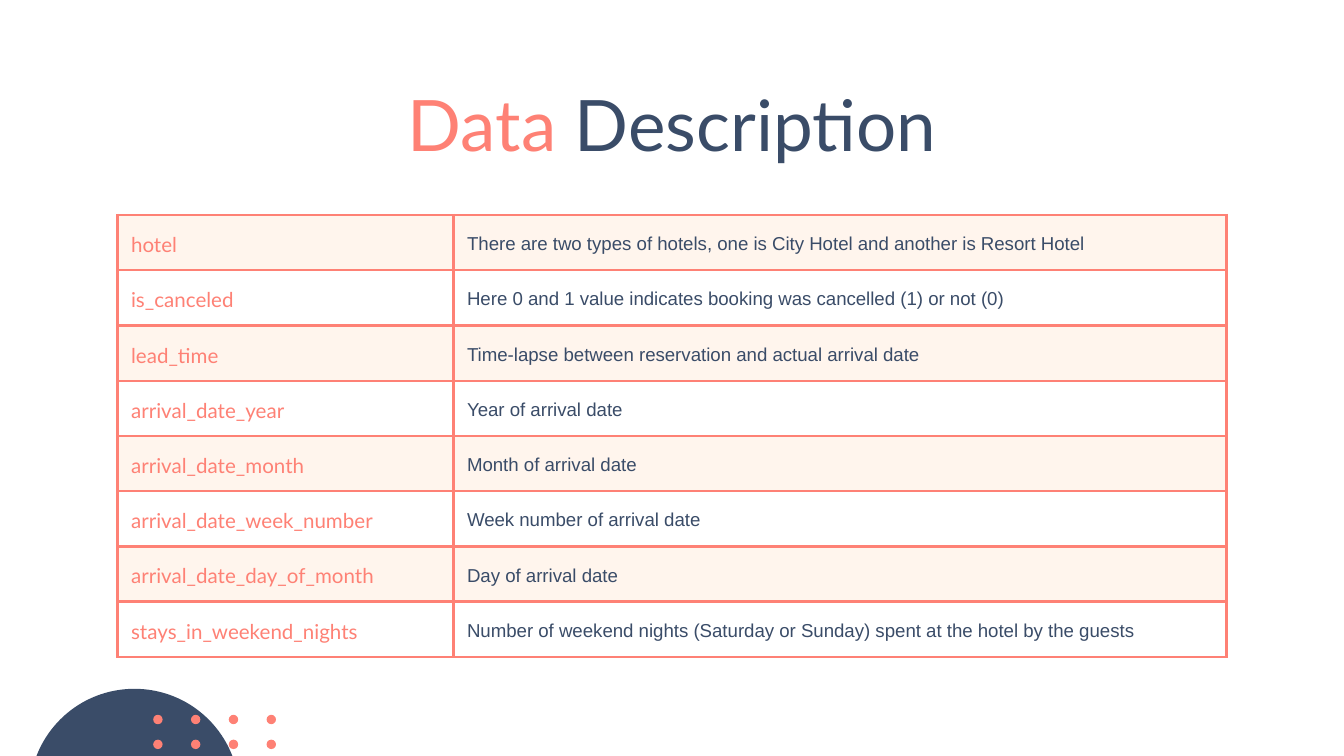
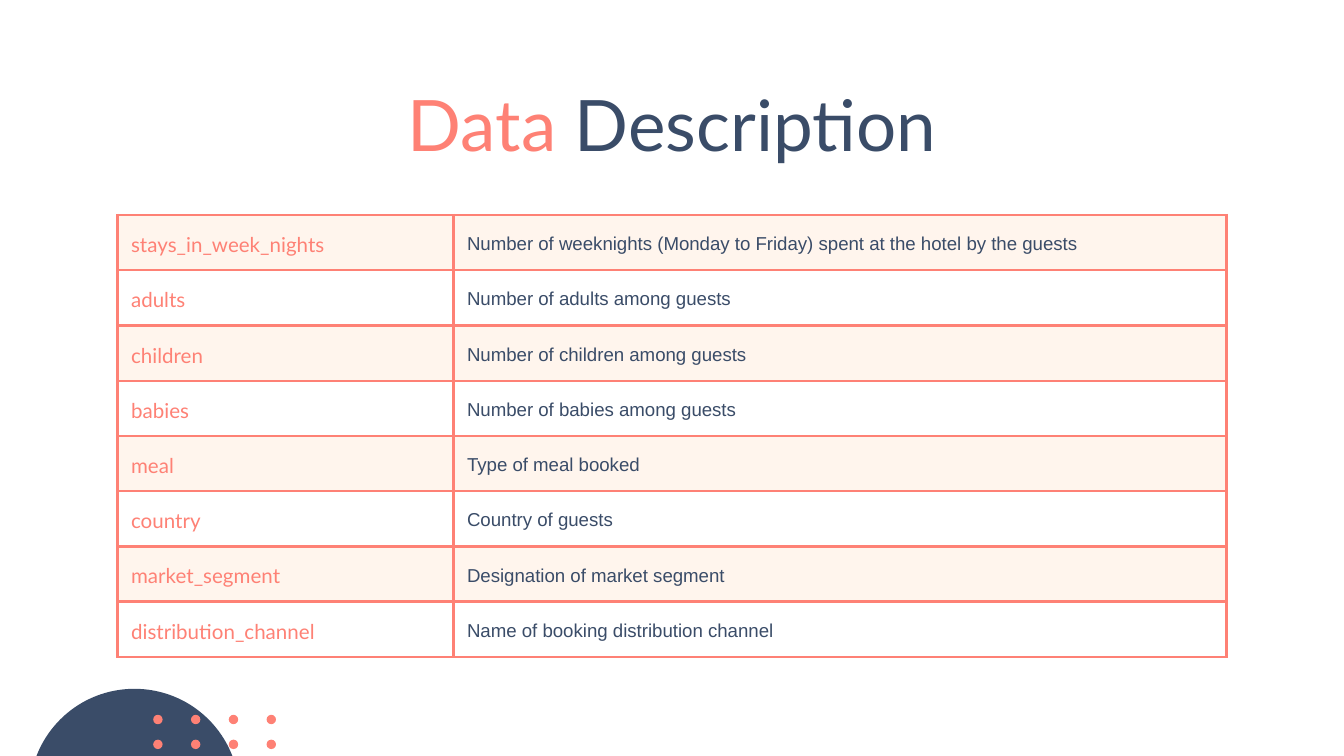
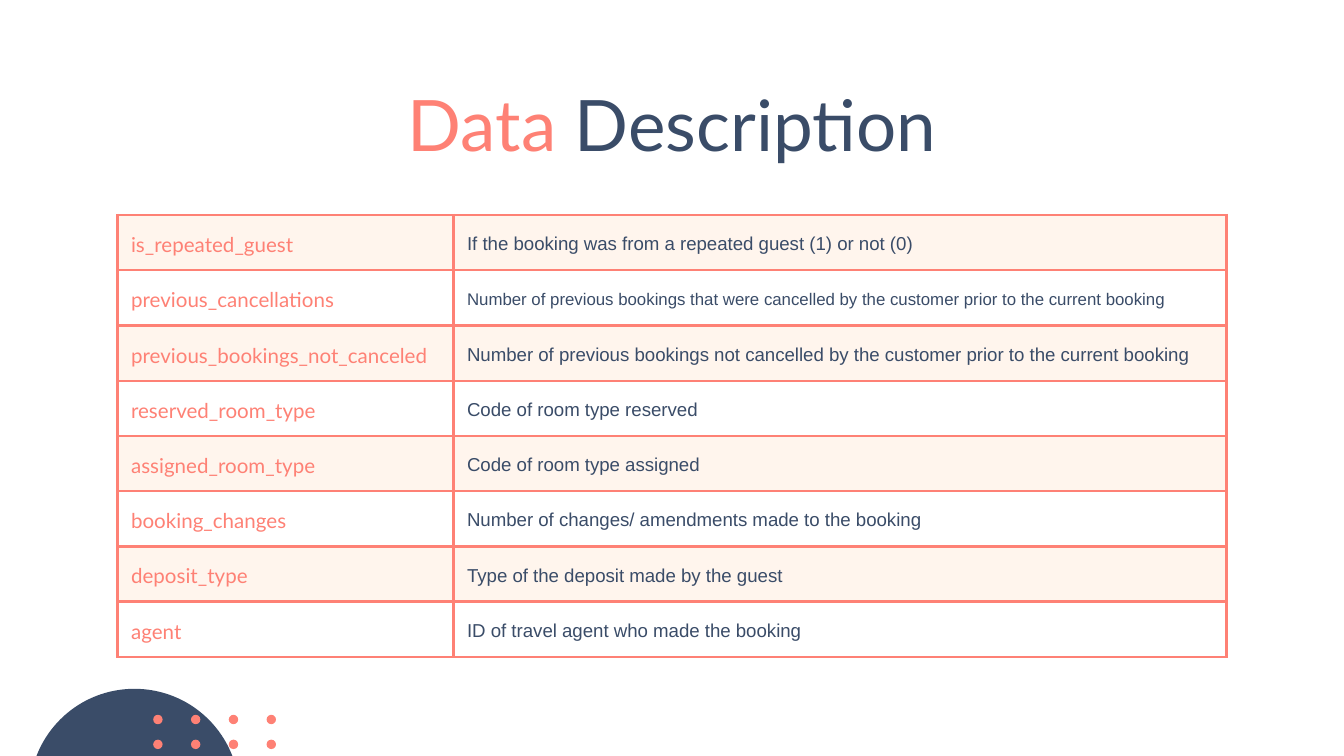
from dataclasses import dataclass
from itertools import product

from lxml import etree
from pptx import Presentation
from pptx.dml.color import RGBColor
from pptx.enum.shapes import MSO_SHAPE
from pptx.enum.text import MSO_ANCHOR, PP_ALIGN
from pptx.oxml.ns import qn
from pptx.util import Inches, Pt

ELLIPSE = MSO_SHAPE.OVAL
TOP, MIDDLE = MSO_ANCHOR.TOP, MSO_ANCHOR.MIDDLE
LEFT, CENTER = PP_ALIGN.LEFT, PP_ALIGN.CENTER

UNIT = Inches(0.125)
COLS, ROWS = 80, 45
BLANK = 6


@dataclass(frozen=True)
class Theme:
    """Colours, fonts and type sizes shared by every slide."""
    coral: str = "FE8175"
    navy: str = "3A4C68"
    cream: str = "FFF5ED"
    head_font: str = "Lato"
    body_font: str = "Arial"
    title_size: int = 38
    name_size: int = 11
    body_size: int = 10
    small_size: int = 9
    border: float = 1.5
    line_spacing: float = 1.15


THEME = Theme()

FIELDS = [
    [
        ("hotel", "There are two types of hotels, one is City Hotel and another is Resort Hotel"),
        ("is_canceled", "Here 0 and 1 value indicates booking was cancelled (1) or not (0)"),
        ("lead_time", "Time-lapse between reservation and actual arrival date"),
        ("arrival_date_year", "Year of arrival date"),
        ("arrival_date_month", "Month of arrival date"),
        ("arrival_date_week_number", "Week number of arrival date"),
        ("arrival_date_day_of_month", "Day of arrival date"),
        ("stays_in_weekend_nights",
         "Number of weekend nights (Saturday or Sunday) spent at the hotel by the guests"),
    ],
    [
        ("stays_in_week_nights",
         "Number of weeknights (Monday to Friday) spent at the hotel by the guests"),
        ("adults", "Number of adults among guests"),
        ("children", "Number of children among guests"),
        ("babies", "Number of babies among guests"),
        ("meal", "Type of meal booked"),
        ("country", "Country of guests"),
        ("market_segment", "Designation of market segment"),
        ("distribution_channel", "Name of booking distribution channel"),
    ],
    [
        ("is_repeated_guest", "If the booking was from a repeated guest (1) or not (0)"),
        ("previous_cancellations",
         "Number of previous bookings that were cancelled by the customer prior to the current booking",
         THEME.small_size),
        ("previous_bookings_not_canceled",
         "Number of previous bookings not cancelled by the customer prior to the current booking"),
        ("reserved_room_type", "Code of room type reserved"),
        ("assigned_room_type", "Code of room type assigned"),
        ("booking_changes", "Number of changes/ amendments made to the booking"),
        ("deposit_type", "Type of the deposit made by the guest"),
        ("agent", "ID of travel agent who made the booking"),
    ],
]


def grid(*units):
    """Convert grid units to slide lengths."""
    return [round(u * UNIT) for u in units]


def add_text(p, text, *, font, size, color, align=LEFT, spacing=1.0):
    """Append a formatted run to a paragraph."""
    p.alignment, p.line_spacing = align, spacing
    r = p.add_run()
    r.text = text
    r.font.name, r.font.size = font, Pt(size)
    r.font.color.rgb = RGBColor.from_string(color)


def set_margins(box):
    """Give a text frame or cell equal insets."""
    box.margin_left = box.margin_right = Inches(0.1)
    box.margin_top = box.margin_bottom = Inches(0.1)


def add_circle(s, x, y, size, color):
    """Draw a plain filled circle."""
    sp = s.shapes.add_shape(ELLIPSE, *grid(x, y, size, size))
    sp.shadow.inherit = False
    sp.fill.solid()
    sp.fill.fore_color.rgb = RGBColor.from_string(color)
    sp.line.fill.background()


def add_corner(s):
    """Draw the large corner circle and its two rows of dots."""
    add_circle(s, 1.75, 41, 12.5, THEME.navy)
    for row, col in product(range(2), range(4)):
        add_circle(s, 9.12 + 2.25 * col, 42.55 + 1.48 * row, 0.56, THEME.coral)


def add_title(s, accent, rest):
    """Add the centred two-colour title."""
    tf = s.shapes.add_textbox(*grid(7.5, 4, 65, 5)).text_frame
    tf.word_wrap, tf.vertical_anchor = True, TOP
    set_margins(tf)
    for text, color in ((accent, THEME.coral), (rest, THEME.navy)):
        add_text(tf.paragraphs[0], text, font=THEME.head_font,
                 size=THEME.title_size, color=color, align=CENTER)


def add_borders(cell):
    """Outline all four sides of a table cell."""
    tc_pr = cell._tc.get_or_add_tcPr()
    for side in ("a:lnL", "a:lnR", "a:lnT", "a:lnB"):
        ln = etree.SubElement(tc_pr, qn(side), w=str(Pt(THEME.border)))
        fill = etree.SubElement(ln, qn("a:solidFill"))
        etree.SubElement(fill, qn("a:srgbClr"), val=THEME.coral)


def fill_cell(cell, text, *, shaded, **style):
    """Format one table cell and write its text."""
    add_borders(cell)
    if shaded:
        cell.fill.solid()
        cell.fill.fore_color.rgb = RGBColor.from_string(THEME.cream)
    else:
        cell.fill.background()
    set_margins(cell)
    cell.vertical_anchor = MIDDLE
    add_text(cell.text_frame.paragraphs[0], text,
             spacing=THEME.line_spacing, **style)


def add_field_table(s, fields):
    """Add the table of field names and descriptions."""
    name_cols, body_cols, row_height = 20, 46, 3.19
    frame = s.shapes.add_table(len(fields), 2, *grid(
        7, 12.8, name_cols + body_cols, row_height * len(fields)))
    table = frame.table
    table.first_row = table.horz_banding = False
    for column, width in zip(table.columns, grid(name_cols, body_cols)):
        column.width = width
    for i, (name, description, *size) in enumerate(fields):
        shaded = i % 2 == 0
        fill_cell(table.cell(i, 0), name, shaded=shaded, font=THEME.head_font,
                  size=THEME.name_size, color=THEME.coral)
        fill_cell(table.cell(i, 1), description, shaded=shaded, font=THEME.body_font,
                  size=size[0] if size else THEME.body_size, color=THEME.navy)


def main():
    """Build one slide per group of fields."""
    prs = Presentation()
    prs.slide_width, prs.slide_height = grid(COLS, ROWS)
    for fields in FIELDS:
        s = prs.slides.add_slide(prs.slide_layouts[BLANK])
        add_corner(s)
        add_title(s, "Data ", "Description")
        add_field_table(s, fields)
    prs.save("out.pptx")


if __name__ == "__main__":
    main()
